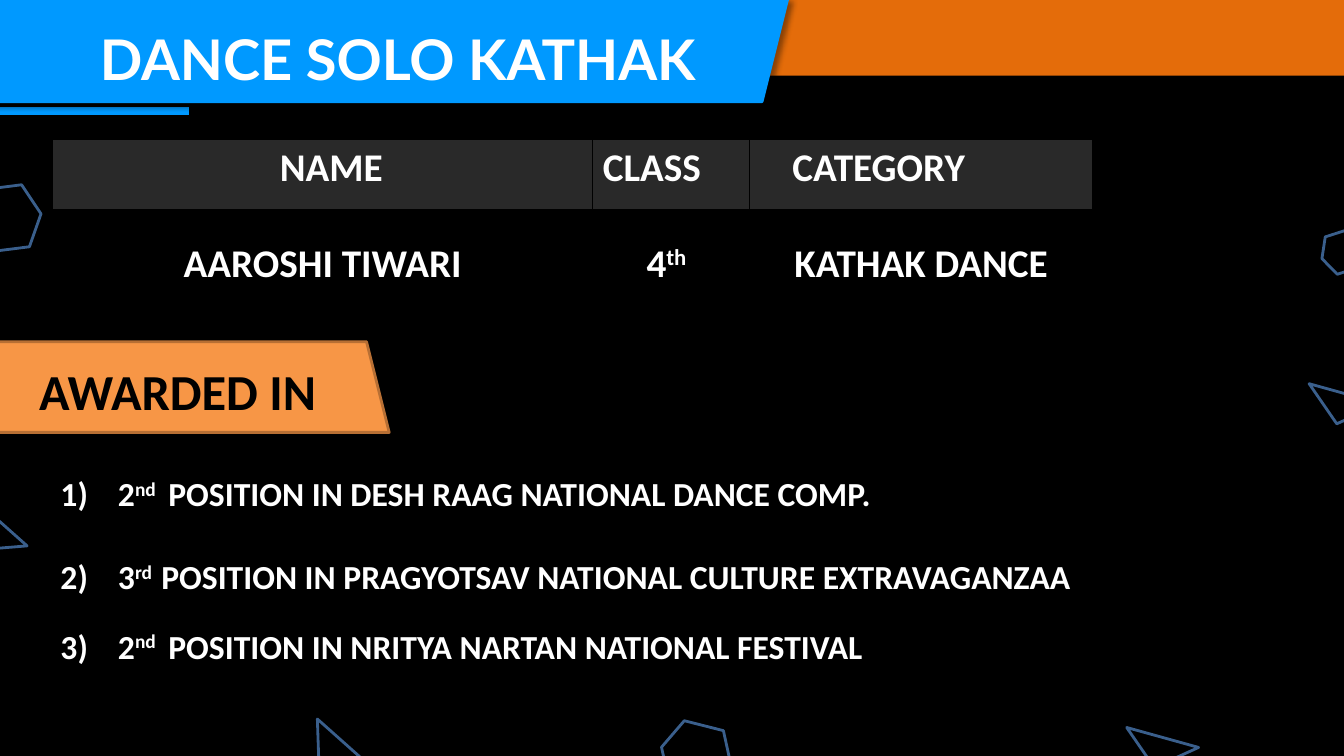
import pptx
import pptx.util
import pptx.dml.color
import pptx.enum.shapes
import pptx.enum.text
import pptx.oxml
import pptx.oxml.ns
from dataclasses import dataclass

TITLE = "DANCE SOLO KATHAK"
SUBTITLE = "AWARDED IN"
# header text, its left indent
HEADERS = [("NAME", 0.17), ("CLASS", 0), ("CATEGORY", 0.33)]
# text, superscript, right cell margin
ENTRY = [("AAROSHI TIWARI", "", 0.01), ("4", "th", 0.1), ("KATHAK DANCE", "", 0.01)]
# place, superscript, award, tab stop of the award, top cell margin
AWARDS = [
    ("2", "nd", "POSITION IN DESH RAAG NATIONAL DANCE COMP.", 1.07, 0.41),
    ("3", "rd", "POSITION IN PRAGYOTSAV NATIONAL CULTURE EXTRAVAGANZAA", 1.0, 0.01),
    ("2", "nd", "POSITION IN NRITYA NARTAN NATIONAL FESTIVAL", 1.07, 0.01),
]
ENTRY_COLS, ENTRY_ROWS = [5.36, 1.55, 3.41], [0.7, 0.78]
AWARD_COLS, AWARD_ROWS = [11.08], [1.35, 0.7, 0.68]
NUMBER_INDENT = 0.57

# outline size by kind, then each piece's kind, left, top, rotation
SIZES = {"wide": (0.74, 0.31), "narrow": (0.59, 0.31), "large": (0.78, 0.62),
         "medium": (0.71, 0.62), "small": (0.46, 0.39)}
DECOR = [
    ("wide", 11.12, 7.31, 195.5), ("medium", 6.55, 7.19, 14.2),
    ("small", 13.1, 2.3, 342.2), ("narrow", 2.97, 7.29, 221.7),
    ("narrow", -0.35, 5.18, 221.7), ("medium", -0.38, 3.43, 14.2),
    ("large", -0.37, 1.86, 352.8), ("wide", 12.93, 3.9, 195.5),
]


@dataclass(frozen=True)
class Theme:
    black: str = "000000"
    white: str = "FFFFFF"
    header: str = "292929"
    band: str = "E46C0A"
    blue: str = "0099FF"
    orange: str = "F79646"
    orange_edge: str = "B76F34"
    outline: str = "3A5F8C"
    body: str = "Calibri"
    heading: str = "Lato"
    title_pt: int = 40
    subtitle_pt: int = 36
    entry_pt: int = 28
    award_pt: int = 24


T = Theme()
MSO = pptx.enum.shapes.MSO_SHAPE
CENTER = pptx.enum.text.PP_ALIGN.CENTER
ANCHOR = pptx.enum.text.MSO_ANCHOR
Inches, Pt, qn = pptx.util.Inches, pptx.util.Pt, pptx.oxml.ns.qn
NS = pptx.oxml.ns.nsdecls("a")


def rgb(value):
    return pptx.dml.color.RGBColor.from_string(value)


def add_run(p, text, size, color, font=T.body, raised=False):
    r = p.add_run()
    r.text = text
    r.font.size, r.font.bold, r.font.name = Pt(size), True, font
    r.font.color.rgb = rgb(color)
    if raised:
        r.font._element.set("baseline", "30000")


def set_effect(shape, shadow):
    """Give the shape a soft diagonal shadow, or an empty effect list."""
    inner = (f'<a:outerShdw blurRad="{Pt(4)}" dist="{Pt(3)}" dir="2700000" algn="tl" '
             f'rotWithShape="0"><a:srgbClr val="{T.black}"><a:alpha val="40000"/>'
             '</a:srgbClr></a:outerShdw>') if shadow else ""
    shape._element.spPr.append(
        pptx.oxml.parse_xml(f"<a:effectLst {NS}>{inner}</a:effectLst>"))


def add_shape(slide, kind, box, fill=None, line=None, shadow=False):
    sp = slide.shapes.add_shape(kind, *map(Inches, box))
    if fill:
        sp.fill.solid()
        sp.fill.fore_color.rgb = rgb(fill)
    else:
        sp.fill.background()
    if line:
        sp.line.color.rgb, sp.line.width = rgb(line), Pt(2)
    else:
        sp.line.fill.background()
    set_effect(sp, shadow)
    return sp


def add_table(slide, left, top, cols, rows, border_pt):
    """Add a plain table with black borders and unfilled cells."""
    box = map(Inches, (left, top, sum(cols), sum(rows)))
    table = slide.shapes.add_table(len(rows), len(cols), *box).table
    table.first_row = table.horz_banding = False
    for col, width in zip(table.columns, cols):
        col.width = Inches(width)
    for row, height in zip(table.rows, rows):
        row.height = Inches(height)
    for cell in table.iter_cells():
        tc_pr = cell._tc.get_or_add_tcPr()
        for side in "LRTB":
            tc_pr.append(pptx.oxml.parse_xml(
                f'<a:ln{side} {NS} w="{Pt(border_pt)}"><a:solidFill>'
                f'<a:srgbClr val="{T.black}"/></a:solidFill></a:ln{side}>'))
        cell.fill.background()
    return table


def set_cell(cell, anchor, right=0.01, top=0.01):
    cell.vertical_anchor = anchor
    cell.margin_left, cell.margin_right = Inches(0.01), Inches(right)
    cell.margin_top, cell.margin_bottom = Inches(top), 0
    return cell.text_frame.paragraphs[0]


def add_awards(slide):
    table = add_table(slide, 0.59, 4.03, AWARD_COLS, AWARD_ROWS, 0.5)
    for i, (place, suffix, award, stop, top) in enumerate(AWARDS):
        p = set_cell(table.cell(i, 0), ANCHOR.MIDDLE, top=top)
        tabs = "".join(f'<a:tab pos="{Inches(x)}" algn="l"/>' for x in (NUMBER_INDENT, stop))
        p._p.get_or_add_pPr().append(
            pptx.oxml.parse_xml(f"<a:tabLst {NS}>{tabs}</a:tabLst>"))
        add_run(p, f"{i + 1})\t{place}", T.award_pt, T.white)
        add_run(p, suffix, T.award_pt, T.white, raised=True)
        add_run(p, f"\t{award}", T.award_pt, T.white)


def add_entry(slide):
    table = add_table(slide, 0.52, 1.38, ENTRY_COLS, ENTRY_ROWS, 1)
    for i, (text, indent) in enumerate(HEADERS):
        cell = table.cell(0, i)
        cell.fill.solid()
        cell.fill.fore_color.rgb = rgb(T.header)
        p = cell.text_frame.paragraphs[0]
        p._p.get_or_add_pPr().set("marL", str(Inches(indent)))
        if i == 0:
            p.alignment = CENTER
        add_run(p, text, T.entry_pt, T.white)
    for i, (text, suffix, right) in enumerate(ENTRY):
        p = set_cell(table.cell(1, i), ANCHOR.BOTTOM, right=right)
        p.alignment = CENTER
        add_run(p, text, T.entry_pt, T.white)
        if suffix:
            add_run(p, suffix, T.entry_pt, T.white, raised=True)


def main():
    prs = pptx.Presentation()
    prs.slide_width, prs.slide_height = Inches(13.33), Inches(7.5)
    slide = prs.slides.add_slide(prs.slide_layouts[5])
    slide.background.fill.solid()
    slide.background.fill.fore_color.rgb = rgb(T.black)

    add_awards(slide)
    add_shape(slide, MSO.RECTANGLE, (0, 0, 13.33, 0.75), T.band, shadow=True)
    rule = slide.shapes.add_connector(pptx.enum.shapes.MSO_CONNECTOR.STRAIGHT,
                                      *map(Inches, (1.87, 1.1, -0.63, 1.1)))
    rule.line.color.rgb, rule.line.width = rgb(T.blue), Pt(6)
    set_effect(rule, True)
    add_entry(slide)

    for size, left, top, angle in DECOR:
        kind = MSO.ISOSCELES_TRIANGLE if size in ("wide", "narrow") else MSO.HEXAGON
        add_shape(slide, kind, (left, top, *SIZES[size]), line=T.outline).rotation = angle

    banner = add_shape(slide, MSO.TRAPEZOID, (-1.38, 0, 9.19, 1.01), T.blue, T.blue, True)
    banner._element.spPr.find(qn("a:xfrm")).set("flipV", "1")

    title = slide.shapes.title
    title.left, title.top, title.width, title.height = map(Inches, (0.89, 0.19, 7.16, 0.77))
    tf = title.text_frame
    tf.vertical_anchor = ANCHOR.TOP
    tf.auto_size = pptx.enum.text.MSO_AUTO_SIZE.NONE
    tf.paragraphs[0].alignment = pptx.enum.text.PP_ALIGN.LEFT
    add_run(tf.paragraphs[0], TITLE, T.title_pt, T.white, T.heading)
    slide.shapes._spTree.append(title._element)  # in front of the banner

    add_shape(slide, MSO.TRAPEZOID, (-0.86, 3.39, 4.72, 0.9), T.orange, T.orange_edge)
    tf = slide.shapes.add_textbox(*map(Inches, (0.29, 3.52, 3.75, 0.71))).text_frame
    tf.word_wrap = True
    add_run(tf.paragraphs[0], SUBTITLE, T.subtitle_pt, T.black)

    prs.save("out.pptx")


if __name__ == "__main__":
    main()
